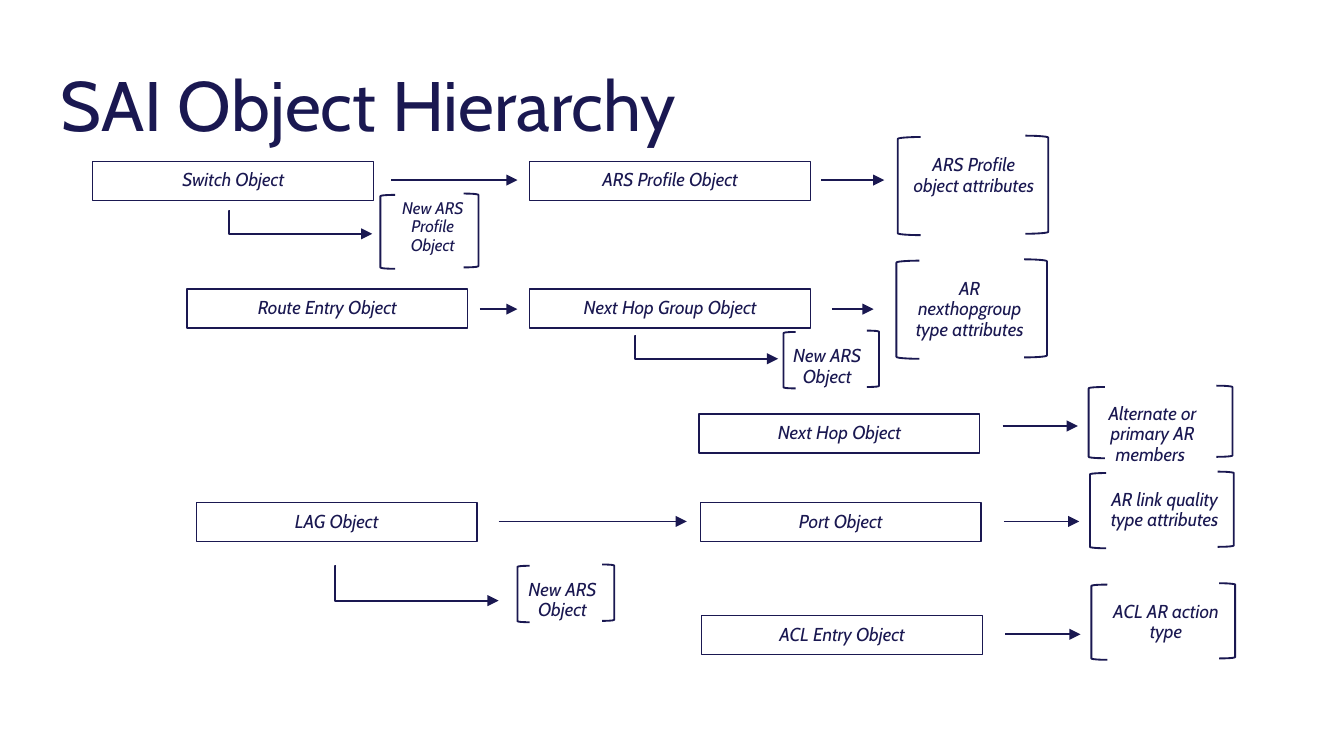
from lxml import etree
from pptx import Presentation
from pptx.dml.color import RGBColor
from pptx.enum.shapes import MSO_CONNECTOR as CONN, MSO_SHAPE as SHAPE
from pptx.enum.text import MSO_ANCHOR as ANCHOR, PP_ALIGN as ALIGN
from pptx.oxml.ns import qn
from pptx.util import Inches, Pt

COLORS = {"navy": "1A1851", "white": "FFFFFF"}
FONT = "Cabin"
OBJECT_W, OBJECT_H = 2.09, 0.29


def rgb(name):
    return RGBColor.from_string(COLORS[name])


def write(shape, text, *, size=10, italic=True, align=ALIGN.CENTER,
          anchor=ANCHOR.TOP, before=6, inset=None):
    frame = shape.text_frame
    frame.word_wrap = True
    frame.vertical_anchor = anchor
    if inset is not None:
        frame.margin_left = frame.margin_right = Inches(inset)
        frame.margin_top = frame.margin_bottom = Inches(inset)
    paragraph = frame.paragraphs[0]
    paragraph.alignment = align
    paragraph.line_spacing = 0.9
    paragraph.space_before = Pt(before)
    run = paragraph.add_run()
    run.text = text
    run.font.name = FONT
    run.font.size = Pt(size)
    run.font.italic = italic
    run.font.color.rgb = rgb("navy")


def add_text(canvas, box, text, **style):
    write(canvas.shapes.add_textbox(*map(Inches, box)), text, **style)


def add_outline(canvas, kind, box, weight):
    shape = canvas.shapes.add_shape(kind, *map(Inches, box))
    shape.shadow.inherit = False
    shape.fill.background()
    shape.line.color.rgb = rgb("navy")
    shape.line.width = Pt(weight)
    return shape


def add_object(canvas, x, y, name):
    shape = add_outline(canvas, SHAPE.RECTANGLE, (x, y, OBJECT_W, OBJECT_H), 0.75)
    write(shape, name, anchor=ANCHOR.MIDDLE)


def add_arrow(canvas, start, end, elbow=False):
    kind = CONN.ELBOW if elbow else CONN.STRAIGHT
    arrow = canvas.shapes.add_connector(kind, *map(Inches, start + end))
    arrow.line.color.rgb = rgb("navy")
    arrow.line.width = Pt(1)
    line = arrow.line._get_or_add_ln()
    etree.SubElement(line, qn("a:tailEnd"), type="triangle")
    properties = arrow._element.spPr
    etree.SubElement(properties, qn("a:effectLst"))
    if elbow:  # turn at the start: first down, then right
        guides = properties.find(qn("a:prstGeom")).find(qn("a:avLst"))
        etree.SubElement(guides, qn("a:gd"), name="adj1", fmla="val -400")


def add_bracketed(canvas, box, text, arm, offset, text_w, size=10):
    """Text between a left and a slightly higher right bracket."""
    x, y, w, h = box
    dx, dy = offset
    add_outline(canvas, SHAPE.LEFT_BRACKET, (x, y + 0.01, arm, h), 1)
    add_text(canvas, (x + dx, y + dy, text_w, 0.26), text, size=size, inset=0)
    add_outline(canvas, SHAPE.RIGHT_BRACKET, (x + w - arm, y, arm, h), 1)


def add_member_row(canvas, x, y, name, attributes, arrow_dy=0.14, bracket_h=0.56,
                   bracket_dy=-0.23, text_dx=0.08, text_w=0.95):
    """An object, an arrow and its bracketed attributes."""
    add_object(canvas, x, y, name)
    add_bracketed(canvas, (x + 2.9, y + bracket_dy, 1.07, bracket_h), attributes,
                  0.12, (text_dx, 0.14), text_w)
    add_arrow(canvas, (x + 2.26, y + arrow_dy), (x + 2.82, y + arrow_dy))


def add_switch_region(canvas, y):
    add_object(canvas, 0.69, y, "Switch Object")
    add_object(canvas, 3.94, y, "ARS Profile Object")
    add_arrow(canvas, (2.91, y + 0.14), (3.85, y + 0.14))
    add_arrow(canvas, (6.11, y + 0.14), (6.58, y + 0.14))
    add_bracketed(canvas, (6.68, y - 0.19, 1.12, 0.73),
                  "ARS Profile object attributes", 0.17, (0.09, 0.15), 0.95)
    # New attribute of the switch
    add_arrow(canvas, (1.71, y + 0.37), (2.77, y + 0.54), elbow=True)
    add_bracketed(canvas, (2.83, y + 0.24, 0.73, 0.55), "New ARS Profile Object",
                  0.11, (0.08, 0.05), 0.62, size=9)


def add_route_region(canvas, y):
    add_object(canvas, 3.94, y, "Next Hop Group Object")
    add_object(canvas, 1.39, y, "Route Entry Object")
    add_arrow(canvas, (3.57, y + 0.15), (3.85, y + 0.15))
    add_arrow(canvas, (6.19, y + 0.15), (6.5, y + 0.15))
    add_bracketed(canvas, (6.67, y - 0.22, 1.12, 0.73),
                  "AR nexthopgroup type attributes", 0.17, (0.07, 0.15), 0.95)
    # New attribute of the next hop group
    add_arrow(canvas, (4.73, y + 0.35), (5.79, y + 0.52), elbow=True)
    add_bracketed(canvas, (5.83, y + 0.31, 0.71, 0.42), "New ARS Object",
                  0.09, (0.01, 0.12), 0.63)


def add_lag_region(canvas, y):
    add_object(canvas, 1.46, y, "LAG Object")
    add_arrow(canvas, (3.71, y + 0.14), (5.11, y + 0.14))
    add_member_row(canvas, 5.21, y, "Port Object", "AR link quality type attributes")
    # New attribute of the LAG
    add_arrow(canvas, (2.5, y + 0.47), (3.71, y + 0.73), elbow=True)
    add_bracketed(canvas, (3.85, y + 0.46, 0.72, 0.42), "New ARS Object",
                  0.09, (0.02, 0.12), 0.63)


def main():
    deck = Presentation()
    deck.slide_width = Inches(10)
    deck.slide_height = deck.slide_width * 9 // 16
    slide = deck.slides.add_slide(deck.slide_layouts[6])
    slide.background.fill.solid()
    slide.background.fill.fore_color.rgb = rgb("white")

    add_text(slide, (0.35, 0.3, 9.29, 1.02), "SAI Object Hierarchy", size=37.5,
             italic=False, align=ALIGN.LEFT, anchor=ANCHOR.MIDDLE, before=0)

    # Object hierarchy, kept together as one group
    hierarchy = slide.shapes.add_group_shape()
    add_switch_region(hierarchy, 1.2)
    add_route_region(hierarchy, 2.15)
    add_member_row(hierarchy, 5.2, 3.08, "Next Hop Object",
                   "Alternate or primary AR members ", arrow_dy=0.09,
                   bracket_h=0.53, bracket_dy=-0.21, text_dx=0.02, text_w=0.91)
    add_lag_region(hierarchy, 3.74)
    add_member_row(hierarchy, 5.22, 4.58, "ACL Entry Object", "ACL AR action type",
                   bracket_dy=-0.24)
    deck.save("out.pptx")


if __name__ == "__main__":
    main()
